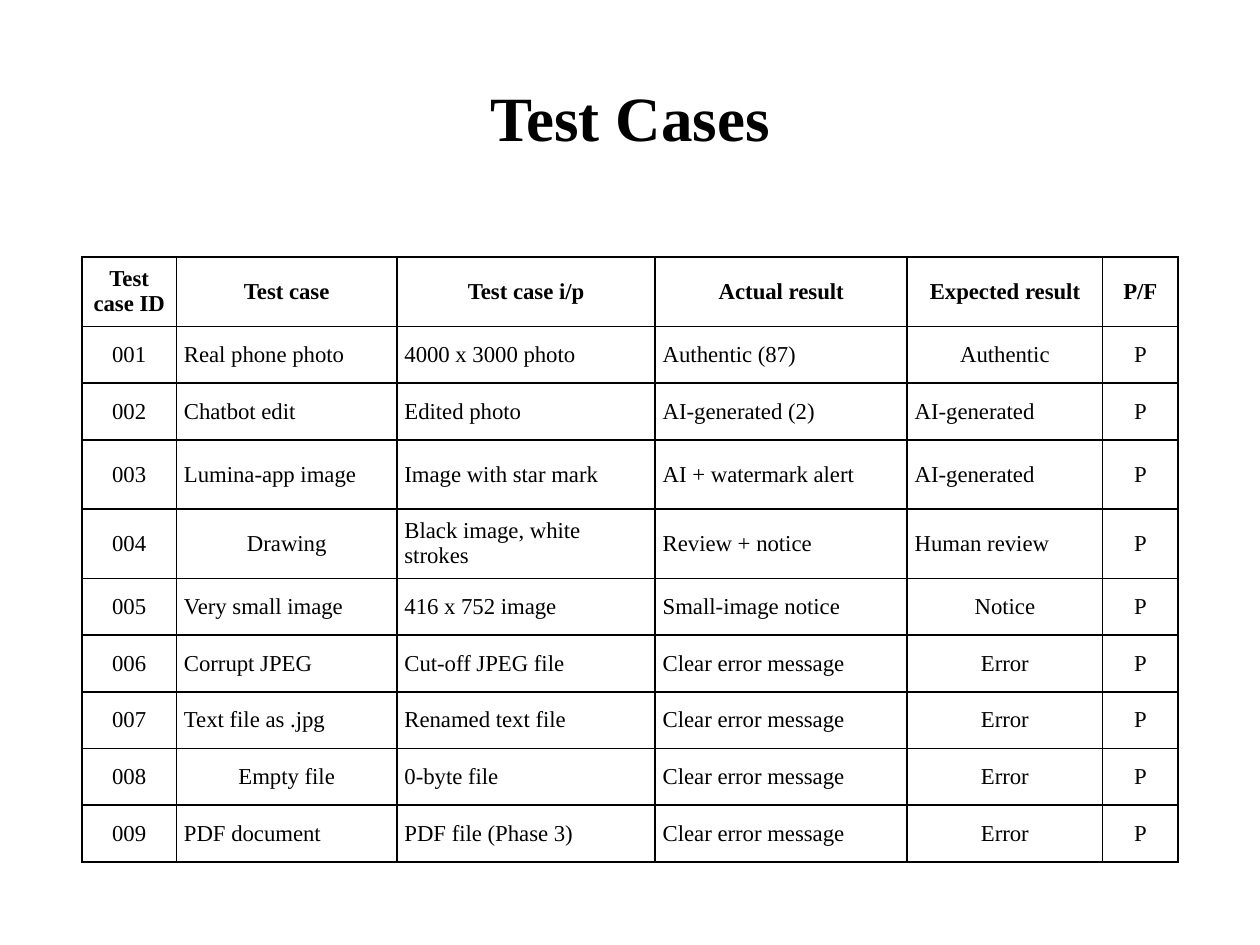
from lxml.etree import SubElement
from pptx import Presentation
from pptx.dml.color import RGBColor
from pptx.enum.text import MSO_ANCHOR as ANCHOR, PP_ALIGN as ALIGN
from pptx.oxml.ns import qn
from pptx.util import Pt

HEADER = ["Test case ID", "Test case", "Test case i/p", "Actual result", "Expected result", "P/F"]
CASES = [
    ["Real phone photo", "4000 x 3000 photo", "Authentic (87)", "Authentic"],
    ["Chatbot edit", "Edited photo", "AI-generated (2)", "AI-generated"],
    ["Lumina-app image", "Image with star mark", "AI + watermark alert", "AI-generated"],
    ["Drawing", "Black image, white strokes", "Review + notice", "Human review"],
    ["Very small image", "416 x 752 image", "Small-image notice", "Notice"],
    ["Corrupt JPEG", "Cut-off JPEG file", "Clear error message", "Error"],
    ["Text file as .jpg", "Renamed text file", "Clear error message", "Error"],
    ["Empty file", "0-byte file", "Clear error message", "Error"],
    ["PDF document", "PDF file (Phase 3)", "Clear error message", "Error"],
]
COL_WIDTHS = [54, 126, 147.6, 144, 111.6, 43.2]
ROW, TALL_ROW = 32.4, 39.6
TALL_ROWS = {0, 3, 4}
SHORT_TEXT = 10  # body texts up to this length are centred


def rgb(color):
    return RGBColor.from_string(color)


class SlideBuilder:
    font = "Times New Roman"
    ink = "000000"
    title_size = 36
    cell_size = 13
    pad_x, pad_y = 4.32, 2.16

    def __init__(self, slide):
        self.slide = slide

    def format_text(self, tf, size, bold, align):
        for p in tf.paragraphs:
            p.alignment = align
            for r in p.runs:
                r.font.name = self.font
                r.font.size = Pt(size)
                r.font.bold = bold
                r.font.color.rgb = rgb(self.ink)

    def title(self, text, left, top, width, height):
        sp = self.slide.shapes.title
        sp.left, sp.top, sp.width, sp.height = map(Pt, (left, top, width, height))
        tf = sp.text_frame
        tf.text = text
        tf.vertical_anchor = ANCHOR.MIDDLE
        self.format_text(tf, self.title_size, True, ALIGN.CENTER)

    def borders(self, cell, width=1):
        tc_pr = cell._tc.get_or_add_tcPr()
        for side in ("a:lnL", "a:lnR", "a:lnT", "a:lnB"):
            ln = SubElement(tc_pr, qn(side), w=str(Pt(width)))
            fill = SubElement(ln, qn("a:solidFill"))
            SubElement(fill, qn("a:srgbClr"), val=self.ink)

    def cell(self, cell, text, bold, align):
        cell.text_frame.text = text
        cell.vertical_anchor = ANCHOR.MIDDLE
        cell.margin_left = cell.margin_right = Pt(self.pad_x)
        cell.margin_top = cell.margin_bottom = Pt(self.pad_y)
        self.borders(cell)
        cell.fill.background()
        self.format_text(cell.text_frame, self.cell_size, bold, align)

    def table(self, rows, left, top, widths, heights):
        frame = self.slide.shapes.add_table(
            len(rows), len(widths), Pt(left), Pt(top), Pt(sum(widths)), Pt(sum(heights)))
        table = frame.table
        table.first_row = table.horz_banding = False
        for column, width in zip(table.columns, widths):
            column.width = Pt(width)
        for i, (row, height) in enumerate(zip(rows, heights)):
            table.rows[i].height = Pt(height)
            for j, text in enumerate(row):
                is_header = i == 0
                centred = is_header or len(text) <= SHORT_TEXT
                self.cell(table.cell(i, j), text, is_header,
                          ALIGN.CENTER if centred else ALIGN.LEFT)


def main():
    prs = Presentation()
    prs.slide_width, prs.slide_height = Pt(720), Pt(540)
    s = SlideBuilder(prs.slides.add_slide(prs.slide_layouts[5]))

    # Title
    s.title("Test Cases", 36, 21.6, 648, 90)

    # Test case table: numbered rows, all passed
    rows = [HEADER] + [[f"{n:03}", *case, "P"] for n, case in enumerate(CASES, 1)]
    heights = [TALL_ROW if i in TALL_ROWS else ROW for i in range(len(rows))]
    s.table(rows, 46.8, 146.88, COL_WIDTHS, heights)

    prs.save("out.pptx")


if __name__ == "__main__":
    main()
